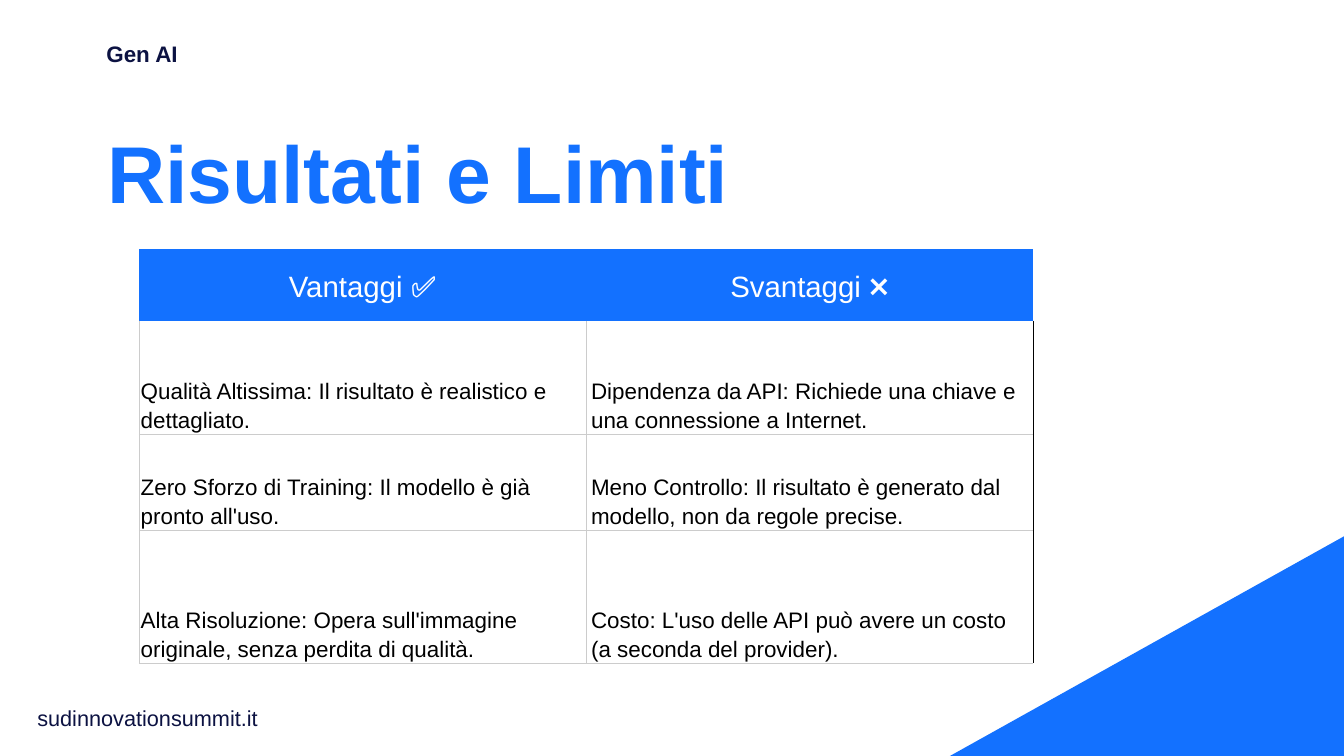
from lxml import etree
from pptx import Presentation
from pptx import util as u
from pptx.dml.color import RGBColor
from pptx.enum import shapes, text
from pptx.oxml import ns

BLUE = RGBColor(0x13, 0x71, 0xFF)
NAVY = RGBColor(0x0C, 0x12, 0x42)
WHITE = RGBColor(0xFF, 0xFF, 0xFF)
BLACK = RGBColor(0x00, 0x00, 0x00)
GREY = RGBColor(0xCC, 0xCC, 0xCC)

FONT = "Arial"
PLAIN_TABLE_STYLE = "{2D5ABB26-0587-4C30-8999-92F81FD0307C}"

HEADINGS = ["Vantaggi ✅", "Svantaggi ❌"]
COMPARISON = [
    ["Qualità Altissima: Il risultato è realistico e dettagliato.",
     "Dipendenza da API: Richiede una chiave e una connessione a Internet."],
    ["Zero Sforzo di Training: Il modello è già pronto all'uso.",
     "Meno Controllo: Il risultato è generato dal modello, non da regole precise."],
    ["Alta Risoluzione: Opera sull'immagine originale, senza perdita di qualità.",
     "Costo: L'uso delle API può avere un costo (a seconda del provider)."],
]
ROW_HEIGHTS = [3.61, 5.74, 4.83, 6.68]
COLUMN_WIDTH = 22.53


class SlideBuilder:
    """Holds the slide and the style; all lengths are in centimetres."""

    def __init__(self, slide):
        self.slide = slide

    def add_words(self, paragraph, words, size, color, bold=False, spacing=0.9,
                  align=text.PP_ALIGN.LEFT):
        paragraph.alignment = align
        paragraph.line_spacing = spacing
        run = paragraph.add_run()
        run.text = words
        run.font.name = FONT
        run.font.size = u.Pt(size)
        run.font.bold = bold
        run.font.color.rgb = color

    def fill_frame(self, shape, words, size, color, **style):
        frame = shape.text_frame
        frame.word_wrap = True
        frame.auto_size = text.MSO_AUTO_SIZE.NONE
        frame.vertical_anchor = text.MSO_ANCHOR.MIDDLE
        frame.margin_left = frame.margin_right = u.Cm(0.15)
        frame.margin_top = frame.margin_bottom = u.Cm(0.15)
        self.add_words(frame.paragraphs[0], words, size, color, **style)

    def title(self, words, left, top, width, height):
        shape = self.slide.shapes.title
        shape.left, shape.top = u.Cm(left), u.Cm(top)
        shape.width, shape.height = u.Cm(width), u.Cm(height)
        self.fill_frame(shape, words, 115, BLUE, bold=True, spacing=0.7)

    def label(self, words, left, top, width, height, size, bold=False):
        shape = self.slide.shapes.add_textbox(
            u.Cm(left), u.Cm(top), u.Cm(width), u.Cm(height))
        self.fill_frame(shape, words, size, NAVY, bold=bold)

    def corner(self, left, top, width, height):
        """Right triangle with its right angle at the bottom right."""
        shape = self.slide.shapes.add_shape(
            shapes.MSO_SHAPE.RIGHT_TRIANGLE,
            u.Cm(left), u.Cm(top), u.Cm(width), u.Cm(height))
        shape.shadow.inherit = False
        shape.fill.solid()
        shape.fill.fore_color.rgb = BLUE
        shape.line.fill.background()
        shape._element.spPr.find(ns.qn("a:xfrm")).set("flipH", "1")

    def border(self, cell, side, color):
        properties = cell._tc.get_or_add_tcPr()
        line = etree.SubElement(properties, ns.qn(f"a:ln{side}"), w=str(u.Pt(0.75)))
        fill = etree.SubElement(line, ns.qn("a:solidFill"))
        etree.SubElement(fill, ns.qn("a:srgbClr"), val=str(color))

    def cell(self, cell, words, size, color, anchor, side_margin, align):
        cell.vertical_anchor = anchor
        cell.margin_left = cell.margin_right = u.Cm(side_margin)
        cell.margin_top = cell.margin_bottom = u.Cm(0.05)
        self.add_words(cell.text_frame.paragraphs[0], words, size, color,
                       spacing=1.15, align=align)

    def comparison_table(self, left, top):
        frame = self.slide.shapes.add_table(
            len(ROW_HEIGHTS), len(HEADINGS), u.Cm(left), u.Cm(top),
            u.Cm(COLUMN_WIDTH * len(HEADINGS)), u.Cm(sum(ROW_HEIGHTS)))
        table = frame.table
        table._tbl.tblPr.find(ns.qn("a:tableStyleId")).text = PLAIN_TABLE_STYLE
        table.first_row = table.horz_banding = False
        for column in table.columns:
            column.width = u.Cm(COLUMN_WIDTH)
        for row, height in zip(table.rows, ROW_HEIGHTS):
            row.height = u.Cm(height)

        for column, heading in enumerate(HEADINGS):
            cell = table.cell(0, column)
            self.cell(cell, heading, 42, WHITE, text.MSO_ANCHOR.MIDDLE, 0.08,
                      text.PP_ALIGN.CENTER)
            cell.fill.solid()
            cell.fill.fore_color.rgb = BLUE

        for row, entries in enumerate(COMPARISON, start=1):
            for column, entry in enumerate(entries):
                cell = table.cell(row, column)
                self.cell(cell, entry, 32, BLACK, text.MSO_ANCHOR.BOTTOM,
                          (0.08, 0.25)[column], text.PP_ALIGN.LEFT)
                self.border(cell, "L", GREY)
                self.border(cell, "R", (GREY, BLACK)[column])
                if row > 1:
                    self.border(cell, "T", GREY)
                self.border(cell, "B", GREY)
                cell.fill.background()


def main():
    presentation = Presentation()
    presentation.slide_width = u.Cm(67.74)
    presentation.slide_height = u.Cm(38.1)
    title_only = presentation.slide_layouts[5]
    builder = SlideBuilder(presentation.slides.add_slide(title_only))

    builder.corner(47.88, 27.03, 19.86, 11.07)
    builder.label("Gen AI", 5.21, 2.03, 19.23, 1.52, 32, bold=True)
    builder.title("Risultati e Limiti", 5.26, 7.37, 49.5, 3.73)
    builder.label("sudinnovationsummit.it", 1.73, 35.53, 13.61, 1.47, 31)
    builder.comparison_table(7.01, 12.55)

    presentation.save("out.pptx")


if __name__ == "__main__":
    main()
